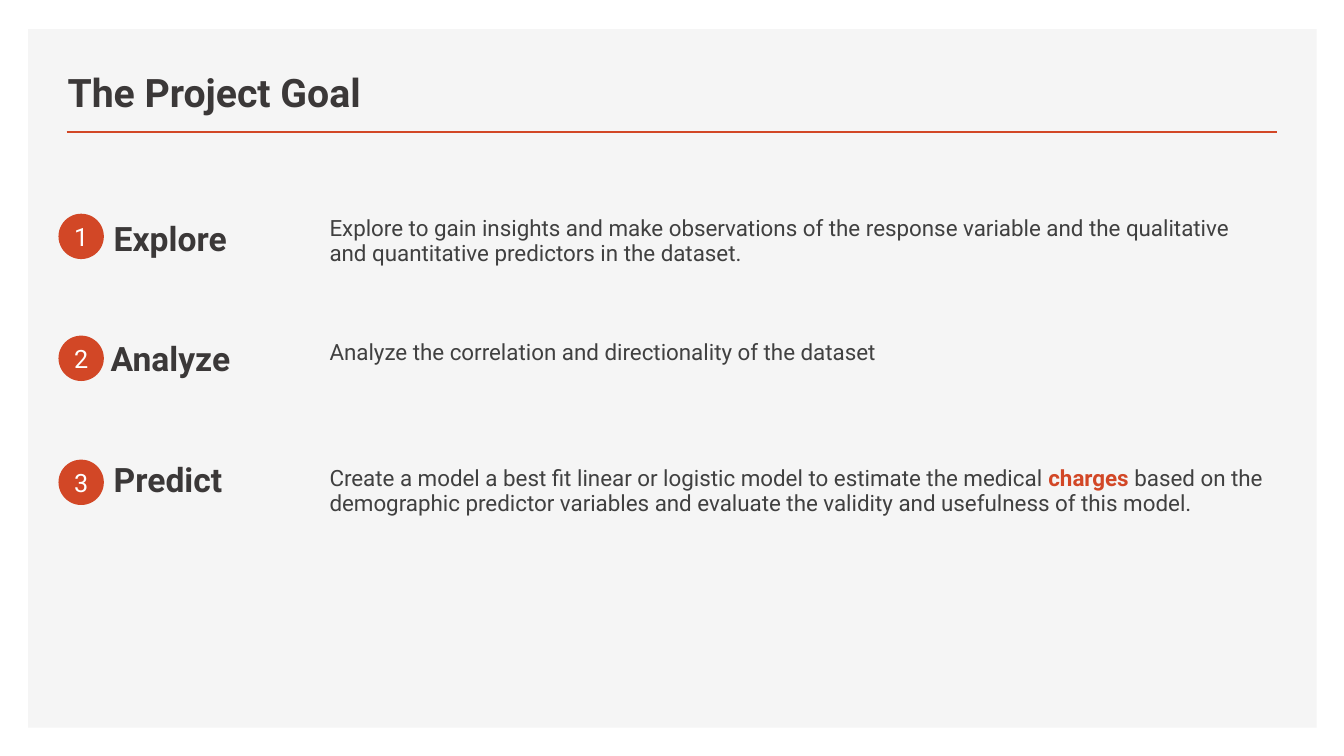
from dataclasses import dataclass

from pptx import Presentation
from pptx.dml.color import RGBColor
from pptx.enum.shapes import MSO_CONNECTOR, MSO_SHAPE
from pptx.enum.text import MSO_ANCHOR as ANCHOR, MSO_AUTO_SIZE, PP_ALIGN
from pptx.oxml.ns import qn
from pptx.util import Pt
from lxml import etree

PX = 9144  # 100 px to the inch


@dataclass(frozen=True)
class Theme:
    font: str = "Roboto"
    panel: str = "F5F5F5"
    accent: str = "D24726"
    heading: str = "3B3838"
    body: str = "404040"
    white: str = "FFFFFF"
    title_pt: int = 28
    heading_pt: int = 24
    number_pt: int = 18
    body_pt: int = 16


T = Theme()


def px(*lengths):
    return [n * PX for n in lengths]


def add_run(p, text, size, color, bold=False):
    r = p.add_run()
    r.text = text
    r.font.name = T.font
    r.font.size = Pt(size)
    r.font.bold = bold
    r.font.color.rgb = RGBColor.from_string(color)


prs = Presentation()
prs.slide_width, prs.slide_height = px(1333, 750)
s = prs.slides.add_slide(prs.slide_layouts[5])

# Background panel, behind the title
panel = s.shapes.add_shape(MSO_SHAPE.RECTANGLE, *px(28, 29, 1278, 693))
panel.shadow.inherit = False
panel.fill.solid()
panel.fill.fore_color.rgb = RGBColor.from_string(T.panel)
panel.line.fill.background()
title = s.shapes.title
title._element.addprevious(panel._element)

# Title and rule
title.left, title.top, title.width, title.height = px(57, 49, 752, 70)
tf = title.text_frame
tf.auto_size = MSO_AUTO_SIZE.NONE
tf.vertical_anchor = ANCHOR.BOTTOM
tf.paragraphs[0].alignment = PP_ALIGN.LEFT
add_run(tf.paragraphs[0], "The Project Goal", T.title_pt, T.heading, True)

rule = s.shapes.add_connector(MSO_CONNECTOR.STRAIGHT, *px(66, 131, 1267, 131))
rule.line.color.rgb = RGBColor.from_string(T.accent)
rule.line.width = Pt(2)
etree.SubElement(rule._element.spPr, qn("a:effectLst"))

# Goals: heading, heading left and top, circle top, body top, body runs (text, is key word)
goals = [
    ("Explore", 103, 191, 212, 209, [
        ("Explore to gain insights and make observations of the response variable "
         "and the qualitative and quantitative predictors in the dataset.", False)]),
    ("Analyze", 100, 310, 333, 332, [
        ("Analyze the correlation and directionality of the dataset", False)]),
    ("Predict", 103, 430, 456, 457, [
        ("Create a model a best fit linear or logistic model to estimate the medical ", False),
        ("charges", True),
        (" based on the demographic predictor variables and evaluate the validity "
         "and usefulness of this model.", False)]),
]

for number, (heading, left, top, circle_top, body_top, runs) in enumerate(goals, 1):
    # Numbered circle
    sp = s.shapes.add_shape(MSO_SHAPE.OVAL, *px(58, circle_top, 45, 45))
    sp.shadow.inherit = False
    sp.fill.solid()
    sp.fill.fore_color.rgb = RGBColor.from_string(T.accent)
    sp.line.fill.background()
    tf = sp.text_frame
    tf.margin_left = tf.margin_right = tf.margin_top = tf.margin_bottom = 0
    tf.vertical_anchor = ANCHOR.MIDDLE
    tf.word_wrap = False
    tf.paragraphs[0].alignment = PP_ALIGN.CENTER
    add_run(tf.paragraphs[0], str(number), T.number_pt, T.white)

    # Heading, ending where the body column starts
    tf = s.shapes.add_textbox(*px(left, top, 317 - left, 70)).text_frame
    tf.word_wrap = True
    tf.vertical_anchor = ANCHOR.BOTTOM
    add_run(tf.paragraphs[0], heading, T.heading_pt, T.heading, True)

    # Body text
    tf = s.shapes.add_textbox(*px(317, body_top, 950, 70)).text_frame
    tf.word_wrap = True
    p = tf.paragraphs[0]
    p.line_spacing, p.space_before, p.space_after = Pt(18), Pt(10), Pt(20)
    for text, is_key in runs:
        add_run(p, text, T.body_pt, T.accent if is_key else T.body, is_key)

prs.save("out.pptx")
